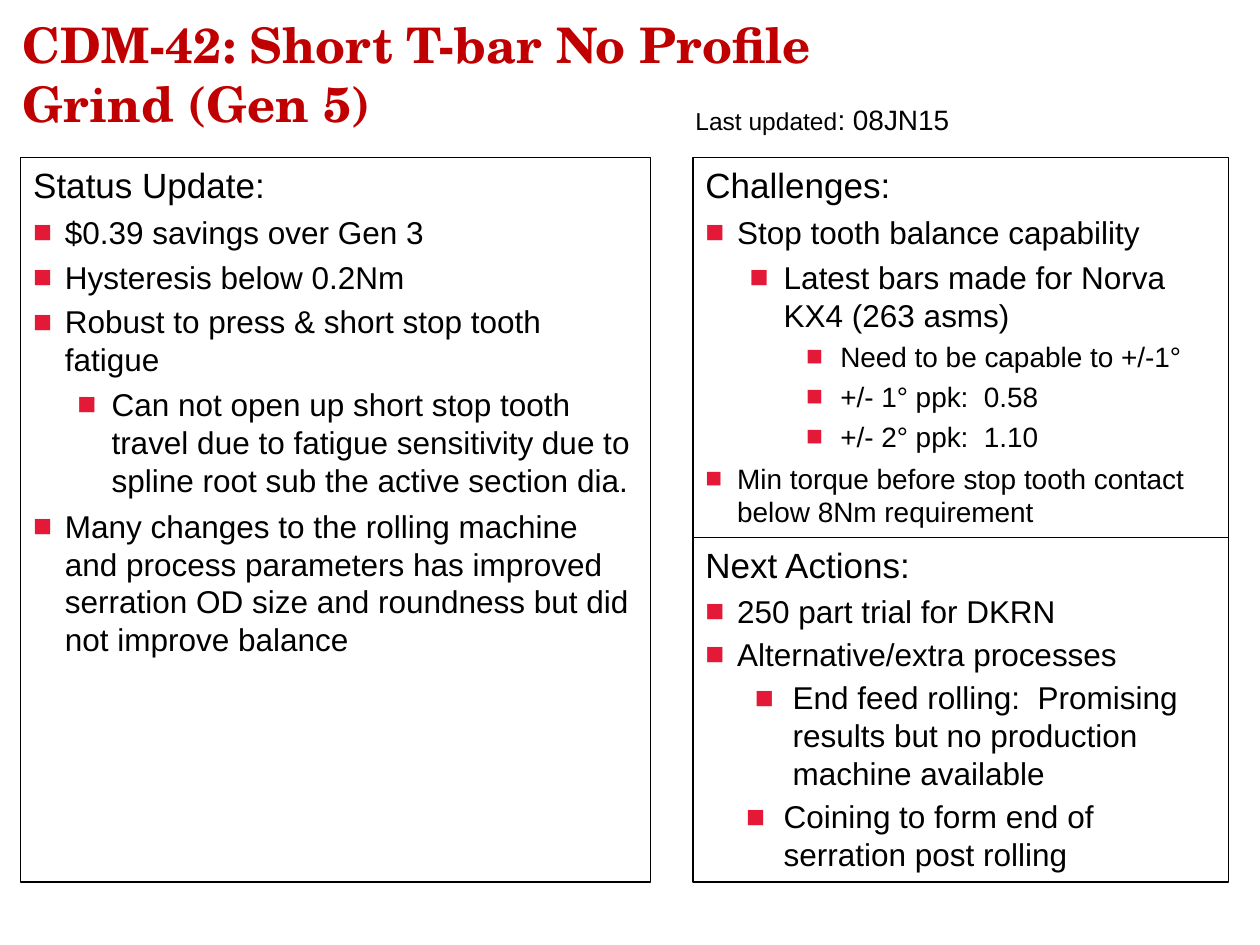
import pptx
import pptx.dml.color
import pptx.enum.shapes
import pptx.enum.text
import pptx.oxml.ns
import pptx.util
from lxml import etree

Cm = pptx.util.Cm
Pt = pptx.util.Pt

COLORS = {"text": "000000", "line": "000000", "title": "C00000", "bullet": "E31937"}
INDENT = {0: 0.64, 1: 1.58, 2: 2.72}

STATUS = [
    (0, 18, 4, "$0.39 savings over Gen 3"),
    (0, 18, 4, "Hysteresis below 0.2Nm"),
    (0, 18, 4, "Robust to press & short stop tooth fatigue"),
    (1, 18, 4, "Can not open up short stop tooth travel due to fatigue "
               "sensitivity due to spline root sub the active section dia."),
    (0, 18, 4.8, "Many changes to the rolling machine and process parameters has "
                 "improved serration OD size and roundness but did not improve balance"),
]
CHALLENGES = [
    (0, 18, 4, "Stop tooth balance capability"),
    (1, 18, 4, "Latest bars made for Norva KX4 (263 asms)"),
    (2, 16, 3.6, "Need to be capable to +/-1°"),
    (2, 16, 3.6, "+/- 1° ppk:  0.58"),
    (2, 16, 3.6, "+/- 2° ppk:  1.10"),
    (0, 16, 4.8, "Min torque before stop tooth contact below 8Nm requirement"),
]
ACTIONS = [
    (0, 18, 3.2, "250 part trial for DKRN"),
    (0, 18, 3.2, "Alternative/extra processes"),
    (2, 18, 3.2, "End feed rolling:  Promising results but no production machine available"),
    (1, 18, 3.2, "Coining to form end of serration post rolling"),
]


def rgb(name):
    return pptx.dml.color.RGBColor.from_string(COLORS[name])


def style_font(font, size, name="Arial", color="text", bold=False):
    font.size = Pt(size)
    font.name = name
    font.bold = bold
    font.color.rgb = rgb(color)


def add_bullet(p, indent, hanging):
    qn = pptx.oxml.ns.qn
    pPr = p._p.get_or_add_pPr()
    pPr.set("marL", str(Cm(indent)))
    pPr.set("indent", str(-Cm(hanging)))
    clr = etree.Element(qn("a:buClr"))
    etree.SubElement(clr, qn("a:srgbClr"), val=COLORS["bullet"])
    font = etree.Element(qn("a:buFont"), typeface="Arial")
    char = etree.Element(qn("a:buChar"), char="■")
    at = 1 if pPr.find(qn("a:spcBef")) is not None else 0
    for i, element in enumerate((clr, font, char)):
        pPr.insert(at + i, element)


def add_panel(slide, box, heading, items, hanging=0.69, indents=INDENT):
    sp = slide.shapes.add_shape(
        pptx.enum.shapes.MSO_SHAPE.RECTANGLE, *(Cm(v) for v in box))
    sp.shadow.inherit = False
    sp.fill.background()
    sp.line.color.rgb = rgb("line")
    sp.line.width = Pt(0.75)
    tf = sp.text_frame
    tf.word_wrap = True
    tf.vertical_anchor = pptx.enum.text.MSO_ANCHOR.TOP
    p = tf.paragraphs[0]
    p.text = heading
    p.alignment = pptx.enum.text.PP_ALIGN.LEFT
    style_font(p.font, 20)
    for level, size, before, text in items:
        p = tf.add_paragraph()
        p.text = text
        p.level = level
        p.alignment = pptx.enum.text.PP_ALIGN.LEFT
        p.space_before = Pt(before)
        style_font(p.font, size)
        add_bullet(p, indents[level], hanging)


def add_text_box(slide, box, anchor):
    tf = slide.shapes.add_textbox(*(Cm(v) for v in box)).text_frame
    tf.word_wrap = True
    tf.vertical_anchor = anchor
    return tf.paragraphs[0]


def add_title(slide, text):
    p = add_text_box(slide, (0.21, 0.21, 16.94, 2.54), pptx.enum.text.MSO_ANCHOR.MIDDLE)
    p.text = text
    style_font(p.font, 28, "TeX Gyre Schola", "title", True)


def add_date(slide, label, date):
    p = add_text_box(slide, (13.77, 1.95, 10.16, 1.02), pptx.enum.text.MSO_ANCHOR.TOP)
    for text, size in ((label, 14), (date, 16)):
        r = p.add_run()
        r.text = text
        style_font(r.font, size)


def main():
    prs = pptx.Presentation()
    prs.slide_width, prs.slide_height = Cm(25.4), Cm(19.05)
    slide = prs.slides.add_slide(prs.slide_layouts[6])

    top, bottom, split = 3.18, 17.78, 10.84
    left, right, width = 0.42, 13.97, 10.8
    add_panel(slide, (left, top, 12.7, bottom - top), "Status Update:", STATUS)
    add_date(slide, "Last updated", ": 08JN15")
    add_title(slide, "CDM-42: Short T-bar No Profile Grind (Gen 5)")
    add_panel(slide, (right, top, width, split - top), "Challenges:", CHALLENGES)
    add_panel(slide, (right, split, width, bottom - split), "Next Actions:", ACTIONS,
              0.76, {**INDENT, 2: 1.76})
    prs.save("out.pptx")


if __name__ == "__main__":
    main()
